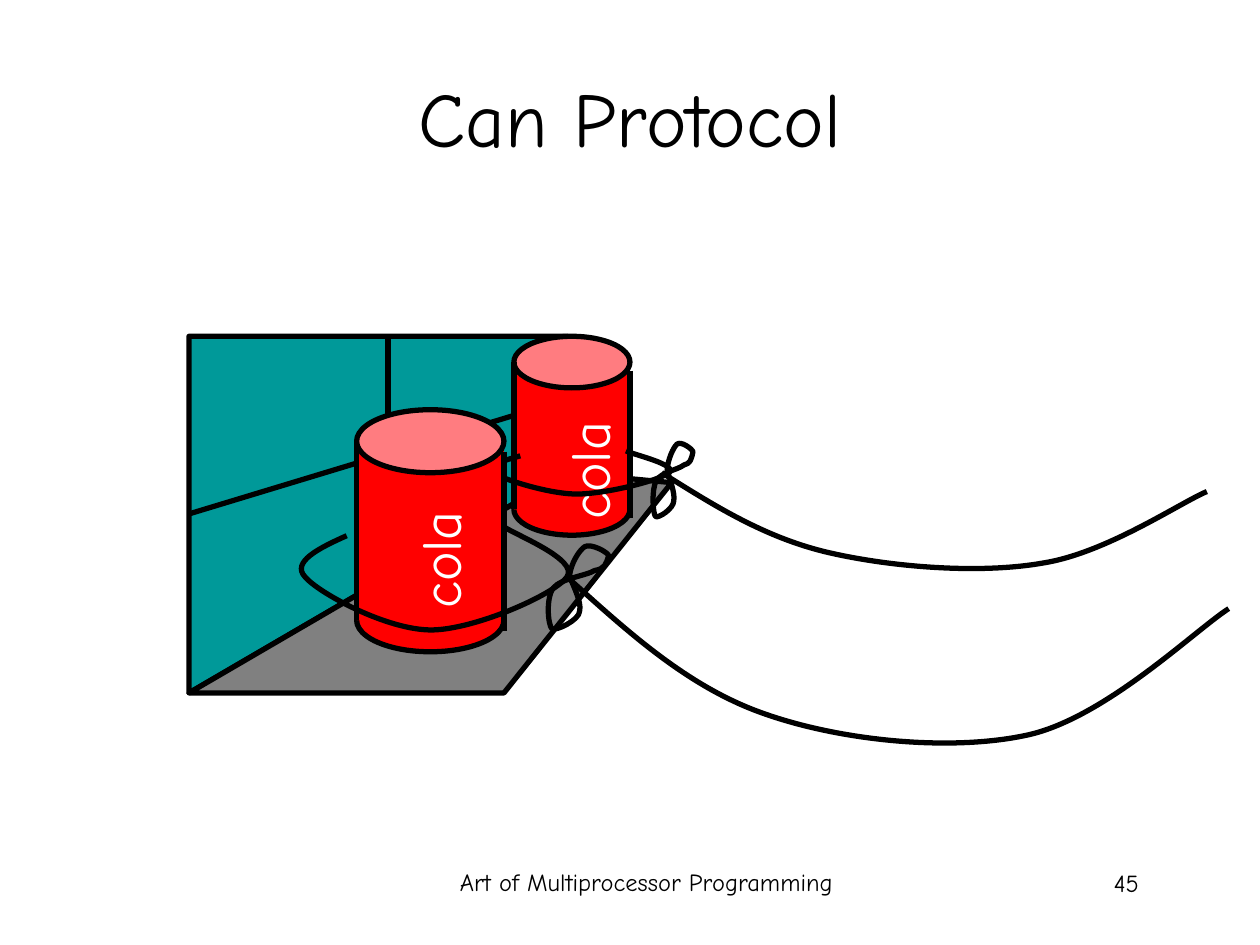
from pptx import Presentation
from pptx.dml.color import RGBColor
from pptx.enum.shapes import MSO_CONNECTOR, MSO_SHAPE
from pptx.enum.text import MSO_ANCHOR, MSO_AUTO_SIZE, PP_ALIGN
from pptx.oxml.xmlchemy import OxmlElement
from pptx.util import Cm, Pt

FONT = "Comic Neue"
COLORS = {
    "black": "000000",
    "white": "FFFFFF",
    "wall": "009999",
    "floor": "808080",
    "can": "FF0000",
    "lid": "FF7C80",
}

WALL = [(3.81, 6.78), (3.81, 13.97), (11.43, 9.53), (11.43, 6.78)]
FLOOR = [(3.81, 13.97), (10.16, 13.97), (13.54, 9.73), (11.43, 9.53)]

# Curves: a start point, then two control points and an end point per segment.
FRONT_STRING = [
    (11.43, 11.63), (12.67, 12.75), (13.89, 13.87), (15.44, 14.4),
    (16.99, 14.94), (19.2, 15.16), (20.75, 14.81),
    (22.3, 14.45), (24.1, 12.7), (24.77, 12.27),
]
REAR_STRING = [
    (13.34, 9.53), (14.35, 10.16), (15.37, 10.82), (16.66, 11.13),
    (17.93, 11.43), (19.74, 11.58), (21.03, 11.35),
    (22.3, 11.15), (23.8, 10.13), (24.33, 9.91),
]
FRONT_LOOP = [
    (6.99, 10.8), (6.43, 11.05), (5.87, 11.33), (6.15, 11.63),
    (6.43, 11.96), (7.8, 12.7), (8.69, 12.7),
    (9.55, 12.7), (11.18, 11.99), (11.43, 11.63),
    (11.68, 11.28), (10.36, 10.77), (10.16, 10.62),
]
REAR_LOOP = [
    (10.49, 9.19), (10.11, 9.3), (9.73, 9.4), (9.93, 9.53),
    (10.11, 9.65), (11.05, 9.96), (11.63, 9.96),
    (12.22, 9.96), (13.31, 9.68), (13.49, 9.53),
    (13.67, 9.37), (12.78, 9.17), (12.62, 9.09),
]
# The bow as fractions of its width and height.
BOW = [
    (0.38, 0.37), (0.4, 0.24), (0.52, 0.09), (0.62, 0.04),
    (0.72, 0), (0.98, 0.1), (1, 0.14),
    (0.96, 0.24), (0.94, 0.29), (0.78, 0.31),
    (0.64, 0.37), (0.24, 0.4), (0.12, 0.51),
    (0, 0.63), (0.04, 0.93), (0.1, 0.97),
    (0.16, 1), (0.54, 0.87), (0.54, 0.77),
    (0.58, 0.67), (0.42, 0.46), (0.38, 0.37),
]


def color(name):
    return RGBColor.from_string(COLORS[name])


def set_line(line):
    line.color.rgb = color("black")
    line.width = Pt(3)


def style_shape(shape, fill=None, outlined=True):
    shape.shadow.inherit = False
    if fill:
        shape.fill.solid()
        shape.fill.fore_color.rgb = color(fill)
    else:
        shape.fill.background()
    if outlined:
        set_line(shape.line)
    else:
        shape.line.fill.background()


def write_text(frame, text, size, alignment, color_name="black"):
    paragraph = frame.paragraphs[0]
    paragraph.alignment = alignment
    run = paragraph.add_run()
    run.text = text
    run.font.name = FONT
    run.font.size = Pt(size)
    run.font.color.rgb = color(color_name)


def add_text(shapes, box, text, size, alignment, color_name="black", wrap=True):
    shape = shapes.add_textbox(*map(Cm, box))
    shape.text_frame.word_wrap = wrap
    write_text(shape.text_frame, text, size, alignment, color_name)
    return shape


def add_line(shapes, start, end):
    connector = shapes.add_connector(
        MSO_CONNECTOR.STRAIGHT, *map(Cm, (*start, *end))
    )
    set_line(connector.line)
    connector.element.spPr.append(OxmlElement("a:effectLst"))


def add_outline(shapes, points, closed, fill=None):
    start, *others = [(Cm(x), Cm(y)) for x, y in points]
    builder = shapes.build_freeform(*start)
    builder.add_line_segments(others, close=closed)
    shape = builder.convert_to_shape()
    style_shape(shape, fill)
    return shape


def add_curve(shapes, points, closed=False):
    """Draw an outline, then turn each three line segments into one Bézier curve."""
    shape = add_outline(shapes, points, closed)
    segments = shape.element.xpath(".//a:lnTo")
    for index in range(0, len(segments), 3):
        curve = OxmlElement("a:cubicBezTo")
        segments[index].addprevious(curve)
        for segment in segments[index:index + 3]:
            curve.append(segment[0])
            segment.getparent().remove(segment)


def add_bow(shapes, left, top, width, height):
    points = [(left + x * width, top + y * height) for x, y in BOW]
    add_curve(shapes, points, closed=True)


def add_can(slide, left, top, width, lid, height, label_position):
    """Group a can; lid is the lid's height, height that of the body."""
    shapes = slide.shapes.add_group_shape().shapes
    body_top = top + lid / 2
    parts = [
        (MSO_SHAPE.OVAL, top + height, lid, "can", True),
        (MSO_SHAPE.RECTANGLE, body_top, height, "can", False),
        (MSO_SHAPE.OVAL, top, lid, "lid", True),
    ]
    for kind, part_top, part_height, fill, outlined in parts:
        shape = shapes.add_shape(
            kind, Cm(left), Cm(part_top), Cm(width), Cm(part_height)
        )
        style_shape(shape, fill, outlined)
    for x, y in ((left, body_top), (left + width, body_top + lid / 6)):
        add_line(shapes, (x, y), (x, y + height))
    label = add_text(
        shapes, (*label_position, 2.57, 1.6), "cola", 32, PP_ALIGN.LEFT, "white", False
    )
    label.text_frame.auto_size = MSO_AUTO_SIZE.SHAPE_TO_FIT_TEXT
    label.rotation = 270


def add_title(slide, text):
    title = slide.shapes.title
    title.left, title.top, title.width, title.height = map(Cm, (1.27, 0.76, 22.86, 3.18))
    title.text_frame.vertical_anchor = MSO_ANCHOR.MIDDLE
    write_text(title.text_frame, text, 44, PP_ALIGN.CENTER)


def main():
    presentation = Presentation()
    presentation.slide_width = Cm(25.4)
    presentation.slide_height = Cm(19.05)
    slide = presentation.slides.add_slide(presentation.slide_layouts[5])
    shapes = slide.shapes

    add_title(slide, "Can Protocol")
    add_text(shapes, (8.69, 17.35, 8.69, 1.32), "Art of Multiprocessor Programming",
             14, PP_ALIGN.CENTER)
    add_text(shapes, (17.93, 17.37, 5.28, 1.27), "45", 14, PP_ALIGN.RIGHT)

    add_outline(shapes, WALL, True, "wall")
    add_line(shapes, (3.81, 10.36), (11.43, 8.05))
    add_line(shapes, (7.82, 6.78), (7.82, 11.63))
    add_outline(shapes, FLOOR, True, "floor")

    add_curve(shapes, FRONT_STRING)
    add_bow(shapes, 11, 10.95, 1.27, 1.78)
    add_can(slide, 10.36, 6.78, 2.34, 1.04, 2.97, (10.57, 8.64))
    add_curve(shapes, REAR_LOOP)
    add_can(slide, 7.19, 8.26, 2.97, 1.27, 3.61, (7.57, 10.44))
    add_bow(shapes, 13.13, 8.89, 0.84, 1.57)
    add_curve(shapes, REAR_STRING)
    add_curve(shapes, FRONT_LOOP)

    presentation.save("out.pptx")


if __name__ == "__main__":
    main()
